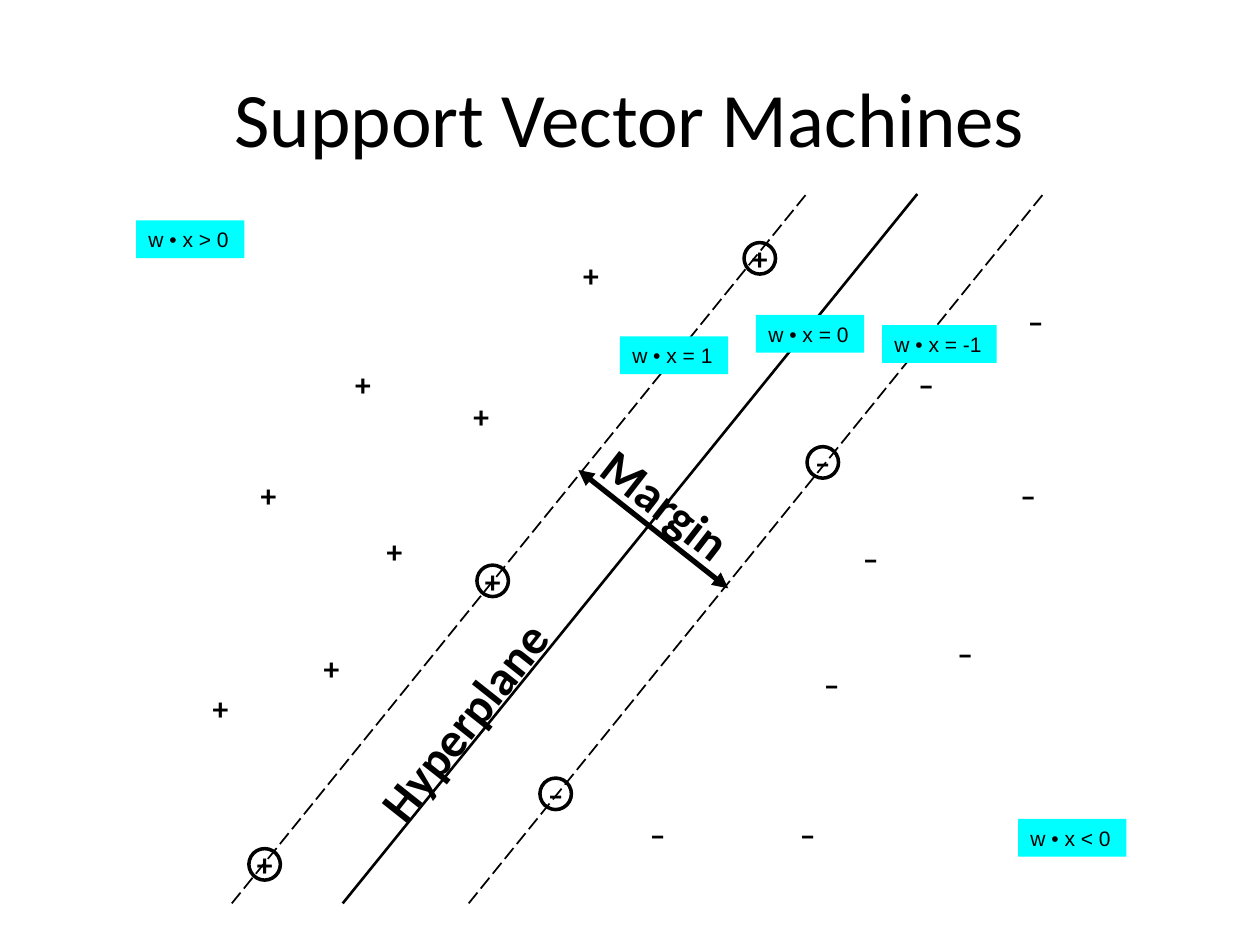
import pptx
import pptx.util
import pptx.dml.color
import pptx.enum.dml
import pptx.enum.shapes
import pptx.enum.text
import pptx.oxml.ns
import lxml.etree

BLACK = pptx.dml.color.RGBColor(0, 0, 0)
CYAN = pptx.dml.color.RGBColor(0, 255, 255)
ALIGN = pptx.enum.text.PP_ALIGN
ANCHOR = pptx.enum.text.MSO_ANCHOR
SHAPE = pptx.enum.shapes.MSO_SHAPE

# The grid has 100 columns and 75 rows, so one cell is a tenth of an inch.
COLS, ROWS = 100, 75

# Centres of the points, as (column, row).
PLUS = [(28.8, 30.5), (17.5, 56.2), (38.2, 33), (21.3, 39.3), (31.3, 43.7),
        (46.9, 21.8), (26.3, 53)]
MINUS = [(82.2, 25.5), (64.1, 66.2), (73.5, 30.5), (76.6, 51.8), (81.6, 39.3),
         (66, 54.3), (69.1, 44.3), (52.2, 66.2)]
PLUS_RIM = [(60.3, 20.5), (39.1, 46.1), (21, 68.6)]
MINUS_RIM = [(65.3, 36.7), (44.1, 63)]

LABELS = [("w • x > 0", 10.8, 17.5, 8.6), ("w • x < 0", 80.8, 65, 8.6),
          ("w • x = 0", 60, 25, 8.6), ("w • x = 1", 49.2, 26.7, 8.6),
          ("w • x = -1", 70, 25.8, 9.1)]

TOP, BASE, RUN = 15.4, 71.7, 45.6


def write(shape, text, size=18, font="Calibri", bold=False, color=BLACK,
          align=ALIGN.CENTER, anchor=ANCHOR.TOP, wrap=True):
    frame = shape.text_frame
    frame.word_wrap = wrap
    frame.vertical_anchor = anchor
    para = frame.paragraphs[0]
    para.alignment = align
    run = para.add_run()
    run.text = text
    run.font.size = pptx.util.Pt(size)
    run.font.name = font
    run.font.bold = bold
    run.font.color.rgb = color


class Board:
    """Holds the grid and the slide that is being drawn."""

    def __init__(self, deck):
        self.slide = deck.slides.add_slide(deck.slide_layouts[6])
        self.col = deck.slide_width / COLS
        self.row = deck.slide_height / ROWS

    def cells(self, x, y, *rest):
        """Turn grid pairs (x, y, x, y ...) into lengths."""
        steps = (self.col, self.row) * 2
        return [round(n * step) for n, step in zip((x, y) + rest, steps)]

    def text(self, words, mid, wide, high, turn=0, **style):
        """Place text centred on mid."""
        x, y = mid
        box = self.slide.shapes.add_textbox(
            *self.cells(x - wide / 2, y - high / 2, wide, high))
        box.rotation = turn
        write(box, words, **style)

    def mark(self, sign, mid):
        self.text(sign, mid, 3.8, 4, bold=True)

    def ring(self, mid, size=2.5):
        x, y = mid
        ring = self.slide.shapes.add_shape(
            SHAPE.OVAL, *self.cells(x - size / 2, y - size / 2, size, size))
        ring.shadow.inherit = False
        ring.fill.background()
        ring.line.color.rgb = BLACK
        ring.line.width = pptx.util.Pt(2)

    def label(self, words, x, y, wide):
        box = self.slide.shapes.add_shape(
            SHAPE.RECTANGLE, *self.cells(x, y, wide, 3))
        box.shadow.inherit = False
        box.fill.solid()
        box.fill.fore_color.rgb = CYAN
        box.line.fill.background()
        write(box, words, size=12, font="Arial", align=ALIGN.LEFT, wrap=False)

    def line(self, ends, width, dash=None, arrows=False):
        link = self.slide.shapes.add_connector(
            pptx.enum.shapes.MSO_CONNECTOR.STRAIGHT, *self.cells(*ends))
        link.line.color.rgb = BLACK
        link.line.width = pptx.util.Pt(width)
        if dash:
            link.line.dash_style = dash
        props = link._element.spPr
        qn = pptx.oxml.ns.qn
        if arrows:
            for tag in ("a:headEnd", "a:tailEnd"):
                lxml.etree.SubElement(
                    props.find(qn("a:ln")), qn(tag), type="triangle")
        lxml.etree.SubElement(props, qn("a:effectLst"))


def main():
    deck = pptx.Presentation()
    deck.slide_width = pptx.util.Inches(10)
    deck.slide_height = pptx.util.Inches(7.5)
    board = Board(deck)

    for sign, points in (("+", PLUS + PLUS_RIM), ("–", MINUS + MINUS_RIM)):
        for mid in points:
            board.mark(sign, mid)

    dash = pptx.enum.dml.MSO_LINE.LONG_DASH
    for foot, width, style in ((27.2, 1.5, None), (37.2, 1, dash),
                               (18.4, 1, dash)):
        board.line((foot, BASE, foot + RUN, TOP), width, style)
    board.line((45.9, 37.3, 57.8, 46.7), 3, arrows=True)

    board.text("Margin", (52.9, 40), 13.7, 5.7, turn=37.9, size=28, bold=True)
    board.text("Hyperplane", (36.8, 57.2), 29, 5.7, turn=308.4, size=28,
               bold=True)
    for mid in PLUS_RIM + MINUS_RIM:
        board.ring(mid)

    board.text("Support Vector Machines", (50, 9.25), 90, 12.5, size=44,
               anchor=ANCHOR.MIDDLE)
    for label in LABELS:
        board.label(*label)

    deck.save("out.pptx")


if __name__ == "__main__":
    main()
